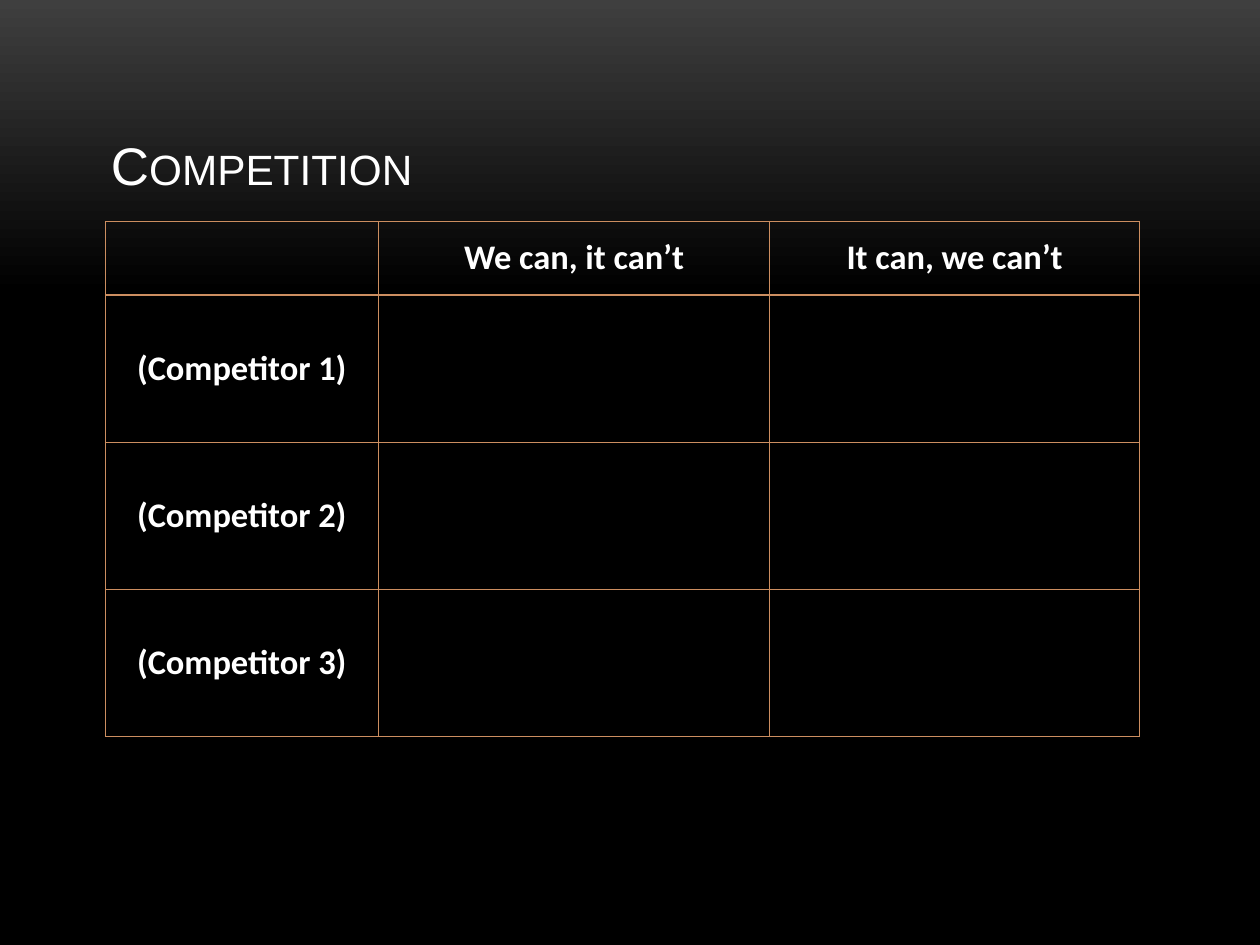
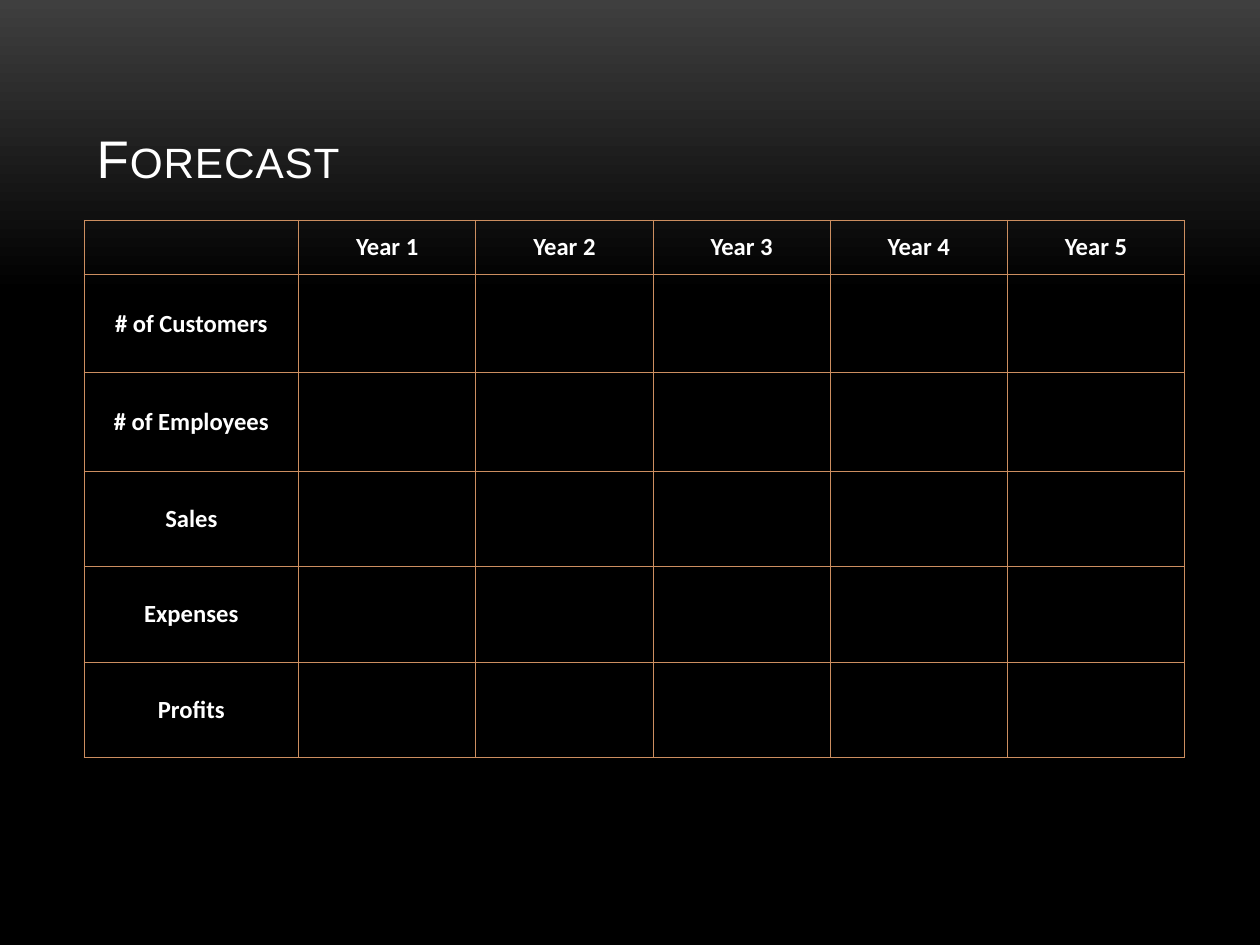
from copy import deepcopy

from lxml.etree import SubElement
from pptx import Presentation
from pptx.dml.color import RGBColor
from pptx.enum.text import MSO_ANCHOR as Anchor, MSO_AUTO_SIZE as AutoSize, PP_ALIGN as Align
from pptx.oxml.ns import qn
from pptx.util import Cm, Pt

# Content: lengths in centimetres, boxes as left, top, width, height
COMPETITION = {
    "title": "Competition",
    "title_box": (3.02, 2.11, 13.41, 3.66),
    "title_insets": (0.16, 0.16),
    "spacing": 0,
    "heads": ["We can, it can’t", "It can, we can’t"],
    "labels": ["(Competitor 1)", "(Competitor 2)", "(Competitor 3)"],
    "corner": (3.02, 6.35),
    "columns": [7.82, 11.23, 10.59],
    "rows": [2.11] + [4.22] * 3,
    "size": 28,
    "head_rule": 2,
}
FORECAST = {
    "title": "Forecast",
    "title_box": (2.41, 1.09, 31.32, 4.52),
    "title_insets": (0.36, 0.18),
    "spacing": 70,
    "heads": [f"Year {year}" for year in range(1, 6)],
    "labels": ["# of Customers", "# of Employees", "Sales", "Expenses", "Profits"],
    "corner": (2.41, 6.32),
    "columns": [6.15] + [5.08] * 5,
    "rows": [1.55] + [2.82] * 2 + [2.74] * 3,
    "size": 20,
    "head_rule": 1,
}

# Shared style
WHITE, BLACK, GREY, COPPER = "FFFFFF", "000000", "3F3F3F", "CC8E60"
BACKDROP = [(0, GREY), (0.31, BLACK), (1, BLACK)]
TITLE_FONT, TABLE_FONT = "Arial", "Calibri"
TITLE_SIZE = 43
CELL_INSET = 0.16


def color(code):
    return RGBColor.from_string(code)


def write(frame, text, *, font, size, bold=False, align=Align.LEFT, small_caps=False, spacing=0):
    paragraph = frame.paragraphs[0]
    paragraph.alignment = align
    run = paragraph.add_run()
    run.text = text
    run.font.name = font
    run.font.size = Pt(size)
    run.font.bold = bold
    run.font.color.rgb = color(WHITE)
    props = run.font._element
    if small_caps:
        props.set("cap", "small")
    if spacing:
        props.set("spc", str(spacing))


def paint_backdrop(master):
    fill = master.background.fill
    fill.gradient()
    fill.gradient_angle = 270
    first = fill.gradient_stops[0]._gs
    stop_list = first.getparent()
    for extra in list(stop_list)[1:]:
        stop_list.remove(extra)
    for _ in BACKDROP[1:]:
        stop_list.append(deepcopy(first))
    for stop, (position, code) in zip(fill.gradient_stops, BACKDROP):
        stop.position = position
        stop.color.rgb = color(code)


def draw_borders(cell, top, bottom):
    props = cell._tc.get_or_add_tcPr()
    for side, width in (("L", 1), ("R", 1), ("T", top), ("B", bottom)):
        line = SubElement(props, qn(f"a:ln{side}"), w=str(Pt(width)))
        solid = SubElement(line, qn("a:solidFill"))
        SubElement(solid, qn("a:srgbClr"), val=COPPER)


def add_title(slide, content):
    title = slide.shapes.title
    title.left, title.top, title.width, title.height = map(Cm, content["title_box"])
    frame = title.text_frame
    frame.word_wrap = True
    frame.auto_size = AutoSize.NONE
    frame.vertical_anchor = Anchor.BOTTOM
    side, edge = map(Cm, content["title_insets"])
    frame.margin_left = frame.margin_right = side
    frame.margin_top = frame.margin_bottom = edge
    write(frame, content["title"], font=TITLE_FONT, size=TITLE_SIZE,
          small_caps=True, spacing=content["spacing"])


def add_grid(slide, content):
    columns, rows = content["columns"], content["rows"]
    left, top = content["corner"]
    table = slide.shapes.add_table(len(rows), len(columns), Cm(left), Cm(top),
                                   Cm(sum(columns)), Cm(sum(rows))).table
    table.first_row = table.horz_banding = False
    for column, width in zip(table.columns, columns):
        column.width = Cm(width)
    for row, height in zip(table.rows, rows):
        row.height = Cm(height)

    # Heads fill the first row, labels the first column
    texts = {(0, c): head for c, head in enumerate(content["heads"], 1)}
    texts.update({(r, 0): label for r, label in enumerate(content["labels"], 1)})
    head_rule = content["head_rule"]
    for r in range(len(rows)):
        for c in range(len(columns)):
            cell = table.cell(r, c)
            draw_borders(cell, top=head_rule if r == 1 else 1,
                         bottom=head_rule if r == 0 else 1)
            cell.fill.background()
            cell.vertical_anchor = Anchor.MIDDLE
            cell.margin_left = cell.margin_right = Cm(CELL_INSET)
            cell.margin_top = cell.margin_bottom = Cm(CELL_INSET)
            if (r, c) in texts:
                write(cell.text_frame, texts[r, c], font=TABLE_FONT,
                      size=content["size"], bold=True, align=Align.CENTER)


# Build the slides
deck = Presentation()
deck.slide_width, deck.slide_height = Cm(36.12), Cm(27.1)
paint_backdrop(deck.slide_master)
title_only = deck.slide_layouts.get_by_name("Title Only")
for content in (COMPETITION, FORECAST):
    slide = deck.slides.add_slide(title_only)
    add_title(slide, content)
    add_grid(slide, content)
deck.save("out.pptx")
